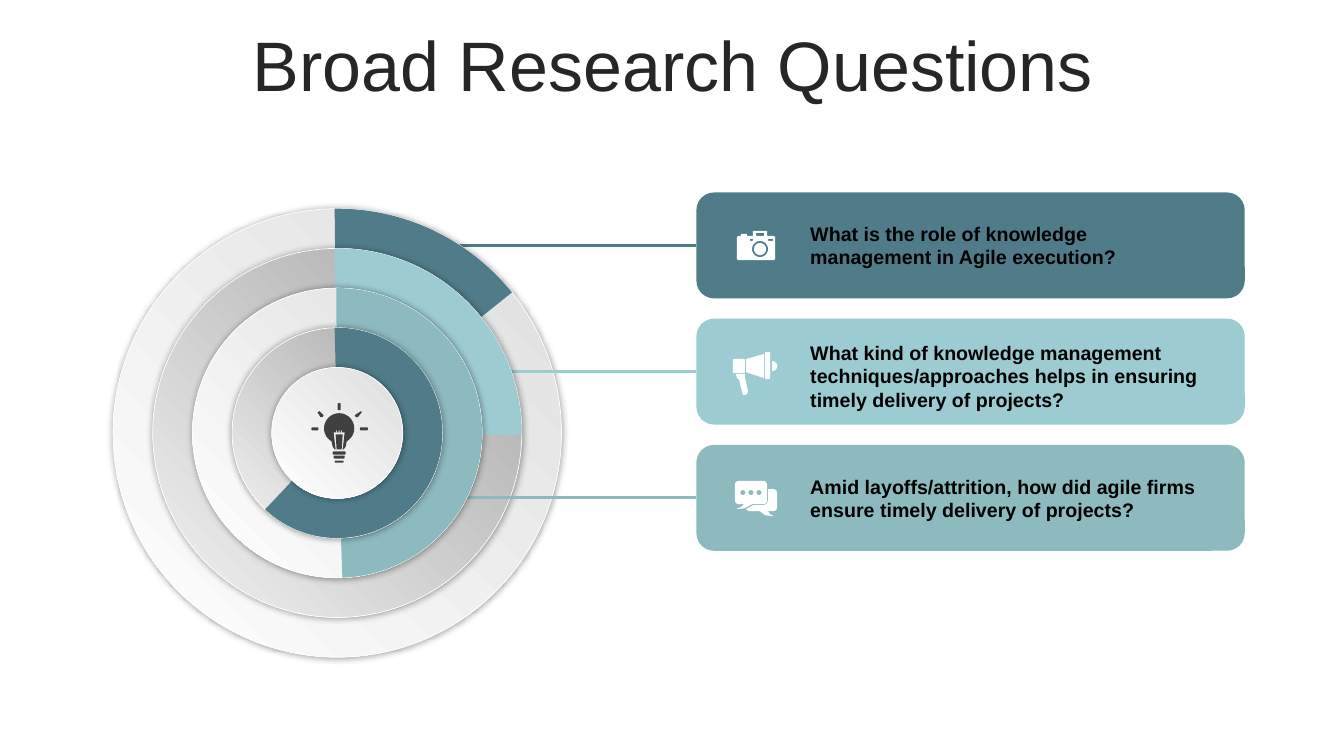
from dataclasses import dataclass
from math import cos, radians, sin

from lxml import etree
from pptx import Presentation
from pptx.dml.color import RGBColor
from pptx.enum.shapes import MSO_CONNECTOR, MSO_SHAPE
from pptx.enum.text import MSO_ANCHOR, PP_ALIGN
from pptx.oxml.ns import qn
from pptx.util import Cm, Pt

CARD_SHAPE = MSO_SHAPE.ROUNDED_RECTANGLE
DISC_SHAPE = MSO_SHAPE.OVAL
SECTOR_SHAPE = MSO_SHAPE.PIE
STRAIGHT = MSO_CONNECTOR.STRAIGHT
MIDDLE = MSO_ANCHOR.MIDDLE
CENTER = PP_ALIGN.CENTER


@dataclass(frozen=True)
class Theme:
    """Colours, font and type sizes of the slide."""
    font: str = "Arial"
    title_size: int = 50
    question_size: int = 14
    title: str = "262626"
    question: str = "000000"
    teal: str = "507C89"
    aqua: str = "9CCCD2"
    sage: str = "8CBABE"
    white: str = "FFFFFF"
    bulb: str = "404040"
    light: tuple = ("DEDEDE", "FFFFFF")
    dark: tuple = ("A6A6A6", "F2F2F2")


THEME = Theme()
CARD_LEFT, CARD_TOP, CARD_WIDTH, CARD_HEIGHT, CARD_PITCH = 17.55, 4.85, 13.82, 2.67, 3.18
DIAL_X, DIAL_Y, DIAL_SIZE, RING_STEP = 8.5, 10.91, 11.3, 2


def arc(x, y, radius, start=0, end=360):
    """Return points along a circular arc, with angles in degrees."""
    return [(x + radius * cos(radians(a)), y + radius * sin(radians(a)))
            for a in range(start, end + 1, 10)]


def box(x, y, width, height, radius=0):
    """Return the outline of a rectangle, rounded if a radius is given."""
    right, bottom = x + width, y + height
    if not radius:
        return [(x, y), (right, y), (right, bottom), (x, bottom)]
    return (arc(x + radius, y + radius, radius, 180, 270)
            + arc(right - radius, y + radius, radius, 270, 360)
            + arc(right - radius, bottom - radius, radius, 0, 90)
            + arc(x + radius, bottom - radius, radius, 90, 180))


CAMERA = [
    box(0, 5, 38, 24, 2), box(16, 0, 14, 5), box(19, 2, 8, 3), box(4, 3, 6, 2),
    arc(23, 18, 8), arc(23, 18, 6), box(13, 8, 3, 2), box(31, 8, 5, 2),
]
MEGAPHONE = [
    [(3, 22), (12, 22), (12, 25), (15, 39), (14, 42), (10, 43), (6, 27), (4, 26)],
    box(0, 7, 12, 14, 1), [(31, 2), (31, 26), (13, 20), (13, 7)],
    box(32, 0, 5, 27, 1), arc(39, 14, 5, -90, 90),
]
CHAT = [
    box(0, 0, 32, 23, 4), [(9, 23), (17, 23), (10, 27), (1, 28), (6, 26)],
    *[arc(x, 11.5, 2.5) for x in (8, 16, 24)],
    [(33, 8), (38, 8), (41, 9), (42, 12), (42, 26), (41, 29), (38, 30), (33, 30),
     (35, 33), (39, 35), (30, 34), (25, 30), (14, 30), (11, 28), (18, 24),
     (29, 24), (32, 22), (33, 19)],
]
BULB = [
    arc(27.5, 25, 15, 120, 420) + [(34, 43), (32, 46), (23, 46), (21, 43)],
    [(22, 29), (33, 29), (31, 46), (24, 46)], [(24, 31), (31, 31), (30, 46), (25, 46)],
    *[box(x, 27, 1, 2) for x in (24.5, 27, 29.5)],
    box(21, 48, 13, 3, 1), box(22, 52, 11, 3, 1), box(23, 57, 9, 2, 1),
    box(0, 24, 7, 3, 1), box(48, 24, 8, 3, 1), box(26, 0, 3, 7, 1),
    [(6, 9), (8, 8), (12, 12), (11, 14), (9, 14)],
    [(49, 8), (50, 9), (46, 14), (44, 14), (43, 12)],
]

QUESTIONS = [
    ("What is the role of knowledge management in Agile execution?",
     THEME.teal, 5.46, 1.45, 11.02, CAMERA, 18.57, 5.82),
    ("What kind of knowledge management techniques/approaches helps in ensuring "
     "timely delivery of projects?",
     THEME.aqua, 8.46, 2.06, 11.51, MEGAPHONE, 18.47, 8.87),
    ("Amid layoffs/attrition, how did agile firms ensure timely delivery of projects?",
     THEME.sage, 11.84, 1.45, 11.51, CHAT, 18.52, 12.12),
]
RINGS = [
    (THEME.light, THEME.teal, 161.6, 192.71),
    (THEME.dark, THEME.aqua, 161.46, 0.46),
    (THEME.light, THEME.sage, 161.77, 52.78),
    (THEME.dark, THEME.teal, 161.15, 79.99),
]


def paint(shape, colour):
    """Give a shape a flat fill with neither outline nor shadow."""
    shape.shadow.inherit = False
    shape.fill.solid()
    shape.fill.fore_color.rgb = RGBColor.from_string(colour)
    shape.line.fill.background()


def add_text(slide, text, frame, size, colour, bold=False):
    """Add a wrapped text box and return its text frame."""
    text_frame = slide.shapes.add_textbox(*map(Cm, frame)).text_frame
    text_frame.word_wrap = True
    text_frame.text = text
    font = text_frame.paragraphs[0].runs[0].font
    font.name, font.size, font.bold = THEME.font, Pt(size), bold
    font.color.rgb = RGBColor.from_string(colour)
    return text_frame


def add_title(slide, text):
    """Add the centred slide title."""
    text_frame = add_text(slide, text, (0.89, 0.79, 32.16, 2.01),
                          THEME.title_size, THEME.title)
    text_frame.vertical_anchor = MIDDLE
    text_frame.paragraphs[0].alignment = CENTER
    text_frame.paragraphs[0].line_spacing = 0.8


def add_card(slide, index, colour):
    """Add the coloured card at the given row."""
    top = CARD_TOP + index * CARD_PITCH
    paint(slide.shapes.add_shape(CARD_SHAPE, Cm(CARD_LEFT), Cm(top),
                                 Cm(CARD_WIDTH), Cm(CARD_HEIGHT)), colour)


def add_leader(slide, index, start, colour):
    """Add the line joining a ring to the middle of its card."""
    y = Cm(CARD_TOP + index * CARD_PITCH + CARD_HEIGHT / 2)
    leader = slide.shapes.add_connector(STRAIGHT, Cm(start), y, Cm(CARD_LEFT), y)
    leader.line.color.rgb = RGBColor.from_string(colour)
    leader.line.width = Pt(2)
    etree.SubElement(leader._element.spPr, qn("a:effectLst"))


def dial_frame(level):
    """Return the frame of the concentric circle at a level."""
    size = DIAL_SIZE - level * RING_STEP
    return Cm(DIAL_X - size / 2), Cm(DIAL_Y - size / 2), Cm(size), Cm(size)


def add_disc(slide, level, tones):
    """Add a shaded disc with a thin white rim and a soft shadow."""
    disc = slide.shapes.add_shape(DISC_SHAPE, *dial_frame(level))
    disc.fill.gradient()
    disc.fill.gradient_angle = 225
    for stop, tone in zip(disc.fill.gradient_stops, tones):
        stop.color.rgb = RGBColor.from_string(tone)
    disc.line.color.rgb = RGBColor.from_string(THEME.white)
    disc.line.width = Pt(0.5)
    disc.shadow.inherit = False
    effects = disc._element.spPr.find(qn("a:effectLst"))
    glow = etree.SubElement(effects, qn("a:outerShdw"), blurRad=str(Pt(5)),
                            dist="0", dir="0", algn="ctr", rotWithShape="0")
    black = etree.SubElement(glow, qn("a:srgbClr"), val="000000")
    etree.SubElement(black, qn("a:alpha"), val="40000")


def add_sector(slide, level, colour, start, end):
    """Add the coloured sector lying on a disc."""
    sector = slide.shapes.add_shape(SECTOR_SHAPE, *dial_frame(level))
    sector.adjustments[0], sector.adjustments[1] = start, end
    paint(sector, colour)


def add_icon(slide, outlines, left, top, colour):
    """Draw outlines, given in hundredths of an inch, as one shape."""
    scaled = [[(x * 10, y * 10) for x, y in outline] for outline in outlines]
    builder = slide.shapes.build_freeform(*scaled[0][0], scale=Cm(0.00254))
    builder.add_line_segments(scaled[0][1:], close=True)
    for outline in scaled[1:]:
        builder.move_to(*outline[0])
        builder.add_line_segments(outline[1:], close=True)
    paint(builder.convert_to_shape(Cm(left), Cm(top)), colour)


def main():
    """Build and save the slide."""
    deck = Presentation()
    deck.slide_width, deck.slide_height = Cm(33.87), Cm(19.05)
    slide = deck.slides.add_slide(deck.slide_layouts[6])
    add_title(slide, "Broad Research Questions")
    for index, question in enumerate(QUESTIONS):
        add_card(slide, index, question[1])
    for level, (tones, colour, start, end) in enumerate(RINGS):
        if level < len(QUESTIONS):
            add_leader(slide, level, QUESTIONS[level][4], colour)
        add_disc(slide, level, tones)
        add_sector(slide, level, colour, start, end)
    add_disc(slide, len(RINGS), THEME.light)
    for text, _, top, height, _, icon, icon_left, icon_top in QUESTIONS:
        add_text(slide, text, (20.17, top, 10.64, height),
                 THEME.question_size, THEME.question, bold=True)
        add_icon(slide, icon, icon_left, icon_top, THEME.white)
    add_icon(slide, BULB, 7.85, 10.16, THEME.bulb)
    deck.save("out.pptx")


if __name__ == "__main__":
    main()
